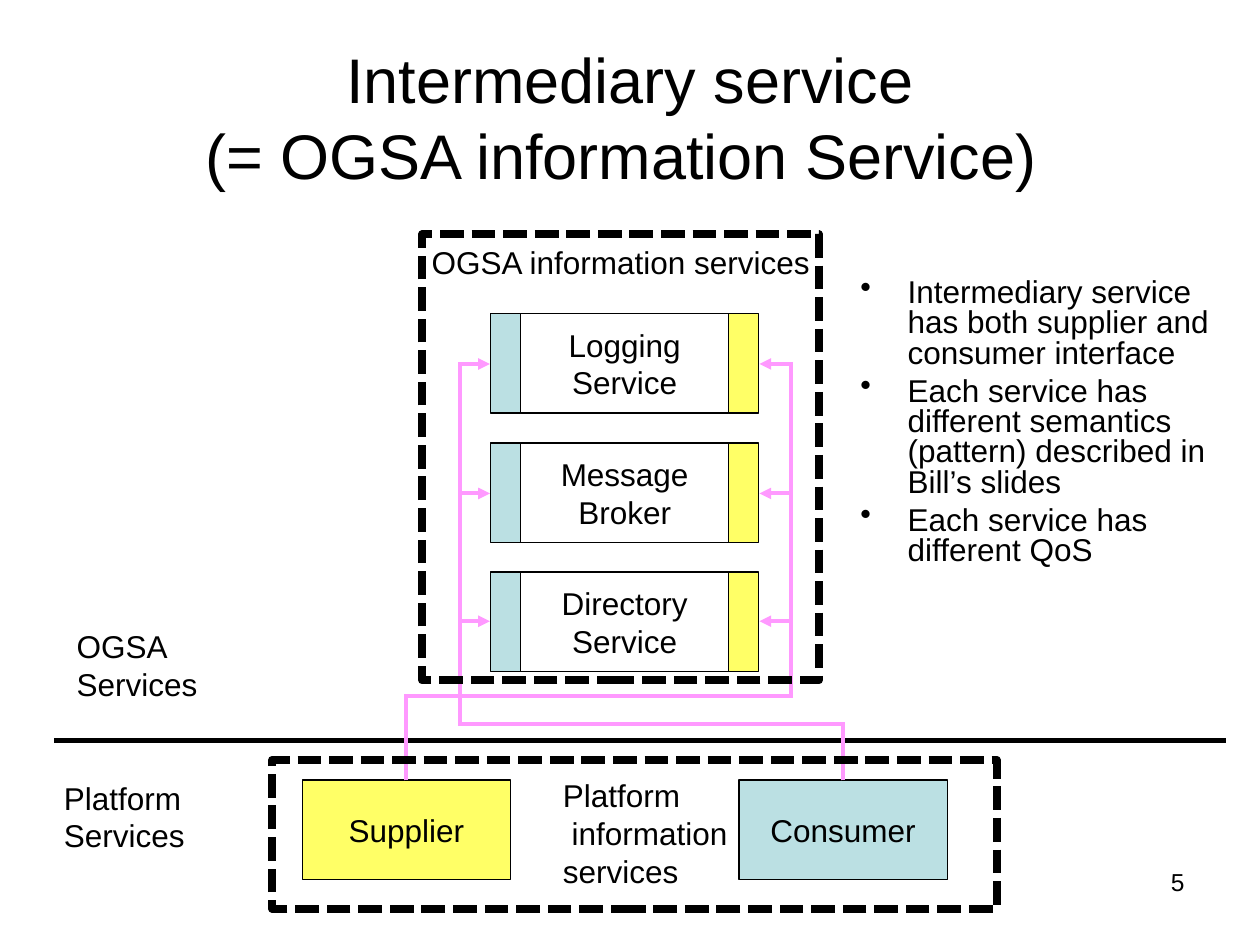
import pptx
import pptx.util
import pptx.dml.color
import pptx.enum.dml
import pptx.enum.shapes
import pptx.enum.text
import pptx.oxml.ns
import lxml.etree

Pt = pptx.util.Pt
RGBColor = pptx.dml.color.RGBColor
RECT = pptx.enum.shapes.MSO_SHAPE.RECTANGLE
STRAIGHT = pptx.enum.shapes.MSO_CONNECTOR.STRAIGHT
DOTS = pptx.enum.dml.MSO_LINE.SQUARE_DOT
Align = pptx.enum.text.PP_ALIGN
MIDDLE = pptx.enum.text.MSO_ANCHOR.MIDDLE
qn = pptx.oxml.ns.qn

BLACK = RGBColor(0x00, 0x00, 0x00)
WHITE = RGBColor(0xFF, 0xFF, 0xFF)
YELLOW = RGBColor(0xFF, 0xFF, 0x66)
TEAL = RGBColor(0xBB, 0xE0, 0xE3)
PINK = RGBColor(0xFF, 0x99, 0xFF)

TITLE = "Intermediary service\v(= OGSA information Service) "
POINTS = [
    "Intermediary service has both supplier and consumer interface",
    "Each service has different semantics (pattern) described in Bill’s slides",
    "Each service has different QoS",
]
SERVICES = [["Logging", "Service"], ["Message", "Broker"], ["Directory", "Service"]]
LABELS = [
    (["Platform", "Services"], 29.5, 441.4, 83.5, 50.4),
    (["OGSA", "Services"], 36.7, 355, 83.5, 50.4),
    (["OGSA information services"], 239.6, 135.4, 231, 28.8),
    (["Platform", " information", "services"], 314.6, 439.9, 113, 72),
]
FRAMES = [(241.2, 133.9, 226.8, 254.9), (155.5, 434.2, 414, 85)]

BOX_W, BOX_H, BAR_W = 119, 56.8, 17
BOX_X, TOP, STEP = 297.5, 179.3, 73.8
ENDS_Y = 445.7
SUPPLY_X, CONSUME_X = 172.8, 422.3
LEFT_LANE, RIGHT_LANE = 262.6, 451.6
LEFT_TURN, RIGHT_TURN = 414.5, 398.5


def write(frame, lines, size=18, align=Align.LEFT, wrap=False):
    frame.word_wrap = wrap
    for i, line in enumerate(lines):
        para = frame.paragraphs[0] if i == 0 else frame.add_paragraph()
        para.text = line
        para.alignment = align
        font = para.font
        font.name, font.size = "Arial", Pt(size)
        font.color.rgb = BLACK


def label(slide, lines, x, y, w, h, **style):
    box = slide.shapes.add_textbox(Pt(x), Pt(y), Pt(w), Pt(h))
    write(box.text_frame, lines, **style)


def block(slide, x, y, w, h, fill=None, lines=(), width=0.75):
    box = slide.shapes.add_shape(RECT, Pt(x), Pt(y), Pt(w), Pt(h))
    box.shadow.inherit = False
    if fill is None:
        box.fill.background()
    else:
        box.fill.solid()
        box.fill.fore_color.rgb = fill
    box.line.color.rgb = BLACK
    box.line.width = Pt(width)
    if lines:
        box.text_frame.vertical_anchor = MIDDLE
        write(box.text_frame, lines, align=Align.CENTER)
    return box


def route(slide, start_x, turn, lane, end_x, end_y):
    pen = slide.shapes.build_freeform(start_x, ENDS_Y, scale=Pt(1))
    bends = [(start_x, turn), (lane, turn), (lane, end_y), (end_x, end_y)]
    pen.add_line_segments(bends, close=False)
    arrow = pen.convert_to_shape()
    arrow.shadow.inherit = False
    arrow.fill.background()
    arrow.line.color.rgb = PINK
    arrow.line.width = Pt(2.25)
    line = arrow.line._get_or_add_ln()
    lxml.etree.SubElement(line, qn("a:miter"), lim="800000")
    lxml.etree.SubElement(line, qn("a:tailEnd"), type="triangle")


def bullets(slide):
    box = slide.shapes.add_textbox(Pt(484.6), Pt(156.2), Pt(218.2), Pt(211.7))
    frame = box.text_frame
    write(frame, POINTS, wrap=True)
    for i, para in enumerate(frame.paragraphs):
        para.line_spacing = 0.8
        if i:
            para.space_before = Pt(4.5)
        props = para._p.get_or_add_pPr()
        props.set("marL", str(Pt(27)))
        props.set("indent", str(-Pt(27)))
        mark = lxml.etree.Element(qn("a:buChar"), char="•")
        props.find(qn("a:defRPr")).addprevious(mark)


def main():
    deck = pptx.Presentation()
    deck.slide_width, deck.slide_height = Pt(720), Pt(540)
    slide = deck.slides.add_slide(deck.slide_layouts[5])

    title = slide.shapes.title
    title.left, title.top, title.width, title.height = Pt(36), Pt(21.6), Pt(648), Pt(90)
    title.text_frame.vertical_anchor = MIDDLE
    write(title.text_frame, [TITLE], size=36, align=Align.CENTER, wrap=True)
    bullets(slide)

    tops = [TOP + i * STEP for i in range(len(SERVICES))]
    for lines, y in zip(SERVICES, tops):
        block(slide, BOX_X, y, BOX_W, BOX_H, WHITE, lines)
        block(slide, BOX_X - BAR_W, y, BAR_W, BOX_H, TEAL)
        block(slide, BOX_X + BOX_W, y, BAR_W, BOX_H, YELLOW)

    rule = slide.shapes.add_connector(STRAIGHT, Pt(31), Pt(423.2), Pt(700.5), Pt(423.2))
    rule.line.color.rgb = BLACK
    rule.line.width = Pt(3)
    lxml.etree.SubElement(rule._element.spPr, qn("a:effectLst"))

    block(slide, SUPPLY_X, ENDS_Y, BOX_W, BOX_H, YELLOW, ["Supplier"])
    block(slide, CONSUME_X, ENDS_Y, BOX_W, BOX_H, TEAL, ["Consumer"])
    half = BOX_W / 2
    for y in tops:
        mid = y + BOX_H / 2
        route(slide, CONSUME_X + half, LEFT_TURN, LEFT_LANE, BOX_X - BAR_W, mid)
        route(slide, SUPPLY_X + half, RIGHT_TURN, RIGHT_LANE, BOX_X + BOX_W + BAR_W, mid)

    for place in FRAMES:
        block(slide, *place, width=4.5).line.dash_style = DOTS
    for lines, *place in LABELS:
        label(slide, lines, *place)
    label(slide, ["5"], 516.2, 491.8, 167.8, 37.4, size=14, align=Align.RIGHT, wrap=True)
    deck.save("out.pptx")


if __name__ == "__main__":
    main()
